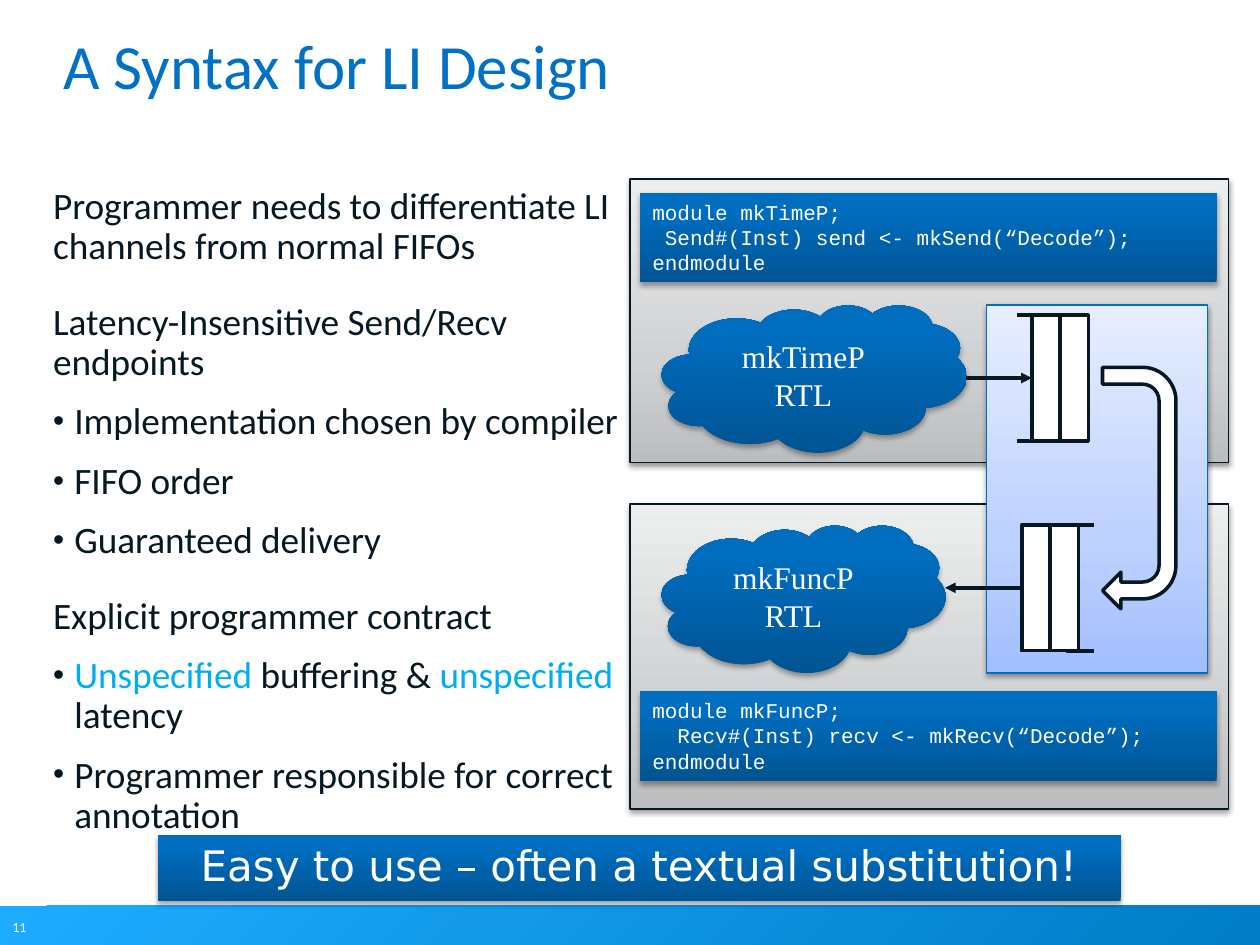
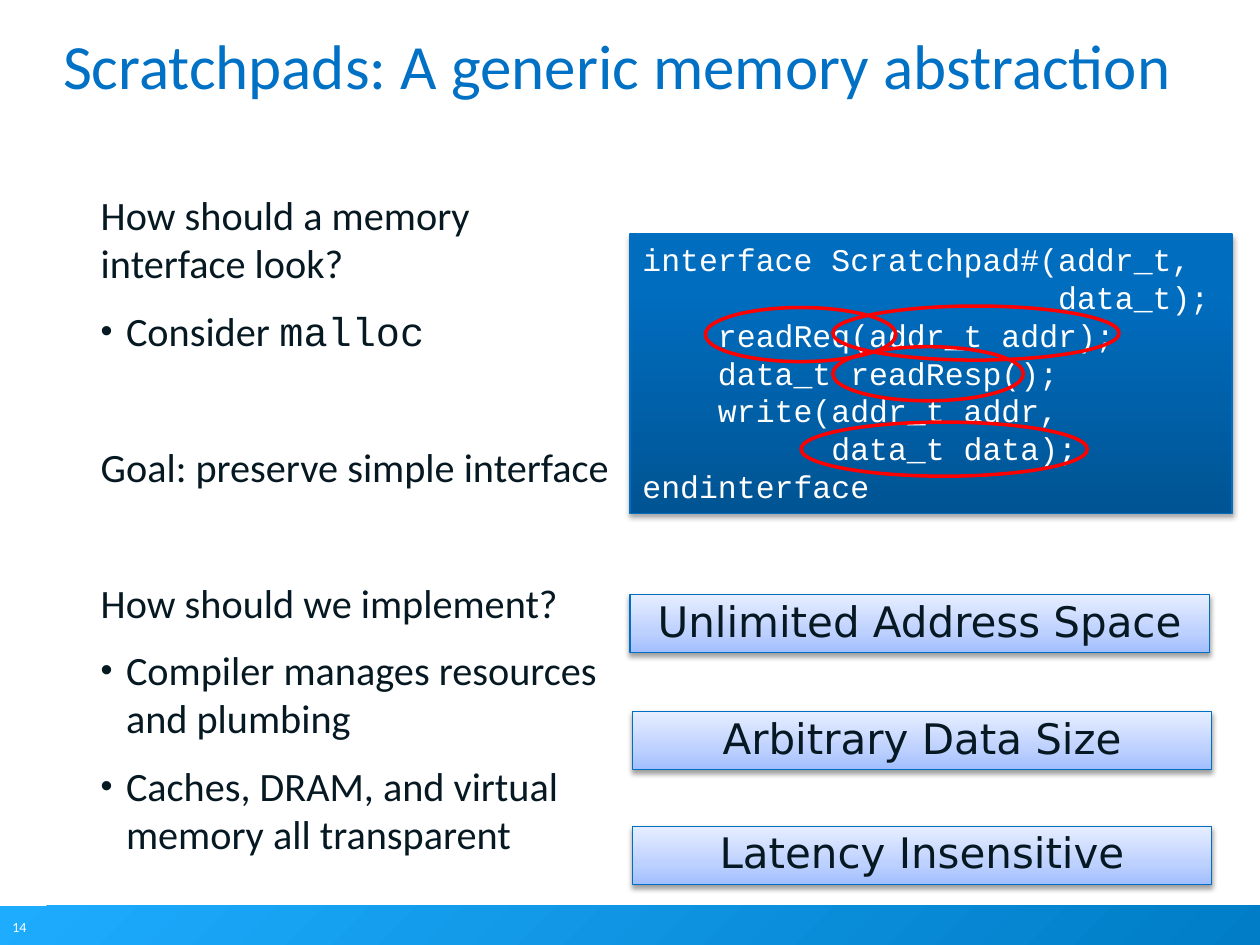
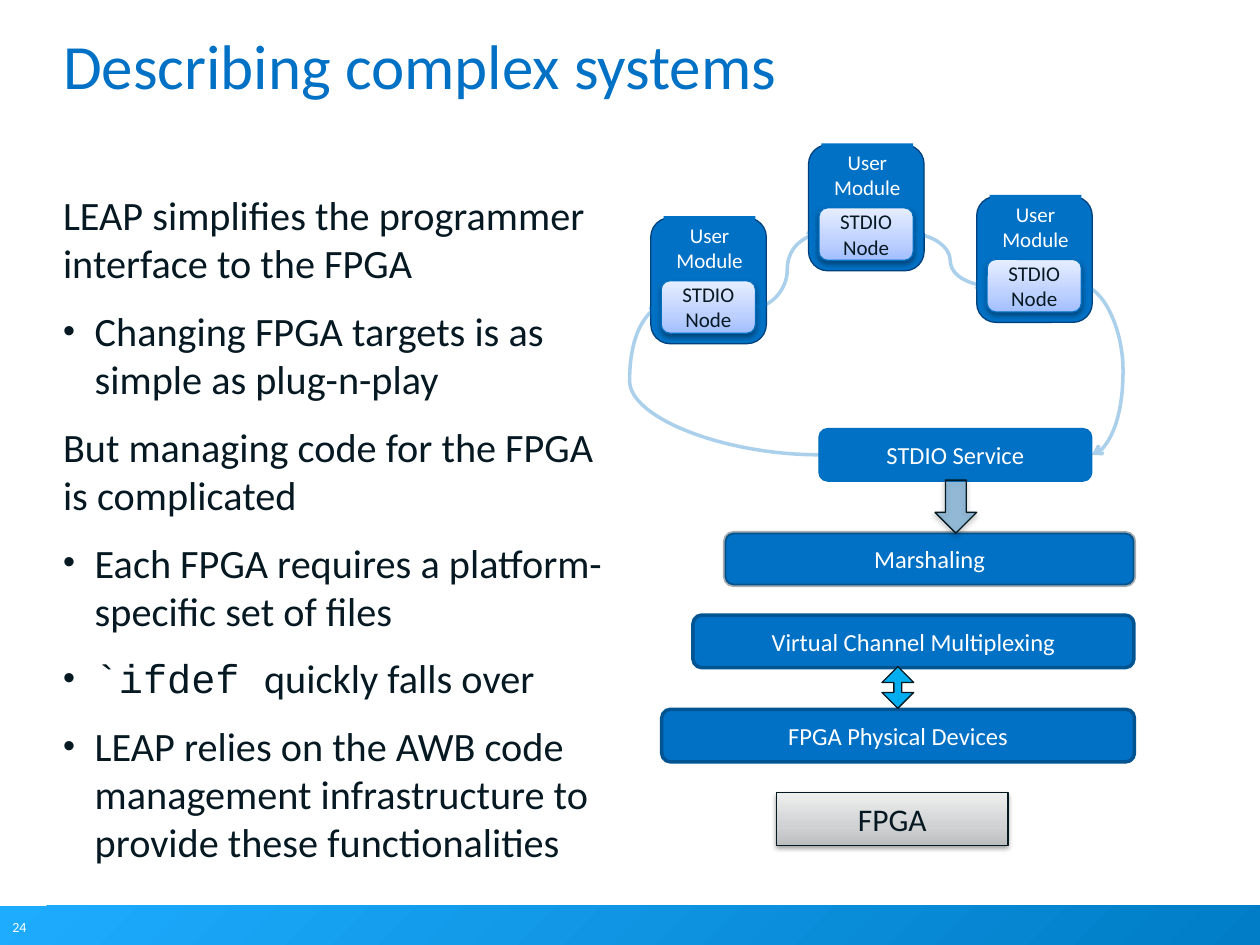
from lxml.etree import SubElement
from pptx import Presentation
from pptx.dml.color import RGBColor
from pptx.enum.shapes import MSO_CONNECTOR as Link, MSO_SHAPE as Preset
from pptx.enum.text import MSO_ANCHOR as Anchor, MSO_AUTO_SIZE as AutoSize, PP_ALIGN as Align
from pptx.oxml.ns import qn
from pptx.util import Cm, Pt

INK, PANEL_EDGE, WHITE, RED = "061922", "051922", "FFFFFF", "FF0000"
BLUE, EDGE_BLUE, DEEP_BLUE, MODULE_EDGE, CYAN = "0071C5", "006FC1", "005492", "00417D", "00AEEF"
SANS, MONO, SERIF, DISPLAY = "Calibri", "Courier New", "Times New Roman", "DejaVu Sans"
GRADIENTS = {
    "band": ((0, "1EACFF"), (100, "007DC6")),
    "grey": ((0, "BCBDBE"), (35, "D0D1D2"), (100, "EDEEEE")),
    "deep": ((0, "005493"), (80, "006DBF"), (100, "006EC0")),
    "pale": ((0, "A2BEFF"), (35, "BDD1FF"), (100, "E6EDFF")),
}
SHADOWS = {"grey": (38, 1.6), "deep": (35, 1.8), "pale": (38, 1.6)}
LEFT, RIGHT = 1, 3


def rgb(value):
    return RGBColor.from_string(value)


def fade(part, percent):
    SubElement(next(part.iter(qn("a:srgbClr"))), qn("a:alpha"), val=str(percent * 1000))


def paint_gradient(shape, name, angle):
    shape.fill.gradient()
    shape.fill.gradient_angle = angle
    stops = next(shape._element.spPr.iter(qn("a:gsLst")))
    stops.clear()
    for position, color in GRADIENTS[name]:
        stop = SubElement(stops, qn("a:gs"), pos=str(position * 1000))
        SubElement(stop, qn("a:srgbClr"), val=color)


def cast_shadow(shape, percent, distance):
    effects = shape._element.spPr.find(qn("a:effectLst"))
    shadow = SubElement(effects, qn("a:outerShdw"), blurRad=str(Pt(3.1)), dist=str(Pt(distance)),
                        dir="5400000", rotWithShape="0")
    SubElement(shadow, qn("a:srgbClr"), val="000000")
    fade(shadow, percent)


def format_run(run, size, font, color):
    run.font.size = Pt(size)
    run.font.name = font
    run.font.color.rgb = rgb(color)


def write(shape, text, size, font=SANS, color=WHITE, align=Align.CENTER, anchor=Anchor.MIDDLE,
          wrap=True, spacing=None):
    frame = shape.text_frame
    frame.text = text
    frame.word_wrap = wrap
    frame.vertical_anchor = anchor
    for paragraph in frame.paragraphs:
        paragraph.alignment = align
        if spacing:
            paragraph.line_spacing = spacing
        for run in paragraph.runs:
            format_run(run, size, font, color)


def add_block(slide, preset, box, fill=None, edge=None, weight=0.75, angle=90):
    block = slide.shapes.add_shape(preset, *map(Cm, box))
    if fill in GRADIENTS:
        paint_gradient(block, fill, angle)
    elif fill:
        block.fill.solid()
        block.fill.fore_color.rgb = rgb(fill)
    else:
        block.fill.background()
    if edge:
        block.line.color.rgb = rgb(edge)
        block.line.width = Pt(weight)
    else:
        block.line.fill.background()
    block.shadow.inherit = False
    if fill in SHADOWS:
        cast_shadow(block, *SHADOWS[fill])
    return block


def add_link(slide, kind, start, end, color, head=None):
    link = slide.shapes.add_connector(kind, *map(Cm, start + end))
    link.line.color.rgb = rgb(color)
    link.line.width = Pt(2)
    properties = link._element.spPr
    if head:
        SubElement(properties.find(qn("a:ln")), qn("a:tailEnd"), type=head)
    SubElement(properties, qn("a:effectLst"))
    return link


def add_curve(slide, source, source_side, target, target_side, bend):
    curve = add_link(slide, Link.CURVE, (0, 0), (1, 1), BLUE, "arrow")
    curve.begin_connect(source, source_side)
    curve.end_connect(target, target_side)
    properties = curve._element.spPr
    fade(properties.find(qn("a:ln")), 33)
    guides = next(properties.iter(qn("a:avLst")))
    SubElement(guides, qn("a:gd"), name="adj1", fmla=f"val {round(bend * 100000)}")


def add_code(slide, box, text, size, edge=None):
    code = add_block(slide, Preset.RECTANGLE, box, "deep", edge)
    write(code, text, size, MONO, align=Align.LEFT, anchor=Anchor.TOP)


def place(placeholder, box):
    placeholder.left, placeholder.top, placeholder.width, placeholder.height = map(Cm, box)
    frame = placeholder.text_frame
    frame.margin_left = frame.margin_top = frame.margin_right = frame.margin_bottom = 0
    frame.auto_size = AutoSize.NONE


def add_page(deck, title, number):
    slide = deck.slides.add_slide(deck.slide_layouts[1])
    place(slide.shapes.title, (1.27, 1.14, 22.86, 2.46))
    write(slide.shapes.title, title, 36, color=BLUE, align=Align.LEFT, anchor=Anchor.TOP, spacing=Pt(26))
    add_block(slide, Preset.RECTANGLE, (0, 18.26, 25.4, 0.79), "band", angle=315)
    page_number = slide.shapes.add_textbox(*map(Cm, (0, 18.39, 0.79, 0.61)))
    write(page_number, number, 8, align=Align.LEFT, anchor=Anchor.TOP, wrap=False)
    return slide


def set_marker(paragraph, bulleted, margin, hang):
    properties = paragraph._p.get_or_add_pPr()
    properties.set("marL", str(Cm(margin)))
    properties.set("indent", str(-Cm(hang)))
    if bulleted:
        SubElement(SubElement(properties, qn("a:buClr")), qn("a:srgbClr"), val=INK)
        SubElement(properties, qn("a:buSzPct"), val="85000")
        SubElement(properties, qn("a:buFont"), typeface="Arial")
        SubElement(properties, qn("a:buChar"), char="•")
    else:
        SubElement(properties, qn("a:buNone"))


def heading(text, gap=11):
    return False, gap, [(text,)]


def bullet(*runs):
    return True, 11, [run if isinstance(run, tuple) else (run,) for run in runs]


def add_list(slide, box, size, entries, heading_margin, bullet_margin, hang, spacing=1.0):
    body = slide.placeholders[1]
    place(body, box)
    frame = body.text_frame
    for index, (bulleted, gap, runs) in enumerate(entries):
        paragraph = frame.add_paragraph() if index else frame.paragraphs[0]
        paragraph.level = int(bulleted)
        set_marker(paragraph, bulleted, bullet_margin if bulleted else heading_margin,
                   hang if bulleted else 0)
        paragraph.space_before = Pt(gap if index else 0)
        paragraph.line_spacing = spacing
        for text, *look in runs:
            run = paragraph.add_run()
            run.text = text
            font, color = look or (SANS, INK)
            format_run(run, size, font, color)


def add_fifo(slide, left, top, rail_left):
    depth, cell_width = 2.54, 0.57
    cells = [add_block(slide, Preset.RECTANGLE, (left + i * cell_width, top, cell_width, depth),
                       WHITE, INK, 2) for i in range(2)]
    for rail in (top, top + depth):
        add_link(slide, Link.STRAIGHT, (rail_left, rail), (rail_left + 0.56, rail), INK)
    return cells[0]


def add_rtl(slide, box, name):
    cloud = add_block(slide, Preset.CLOUD, box, "deep")
    write(cloud, f"{name}\nRTL", 18, SERIF)


def add_layer(slide, box, name, edge, weight=2):
    layer = add_block(slide, Preset.ROUNDED_RECTANGLE, box, BLUE, edge, weight)
    write(layer, name, 14, wrap=False)
    return layer


def add_user_module(slide, left, top):
    add_block(slide, Preset.ROUNDED_RECTANGLE, (left, top, 2.33, 2.54), BLUE, MODULE_EDGE)
    node = add_block(slide, Preset.ROUNDED_RECTANGLE, (left + 0.21, top + 1.27, 1.9, 1.06),
                     "pale", EDGE_BLUE)
    write(node, "STDIO\nNode", 12, color=INK, wrap=False)
    caption = add_block(slide, Preset.RECTANGLE, (left + 0.26, top - 0.03, 1.85, 1.28), BLUE)
    write(caption, "User\nModule", 12, anchor=Anchor.TOP, wrap=False)
    return node


def build_syntax(deck):
    slide = add_page(deck, "A Syntax for LI Design", "11")
    add_list(slide, (1.07, 3.78, 11.63, 13.79), 21.3, [
        heading("Programmer needs to differentiate LI channels from normal FIFOs"),
        heading("Latency-Insensitive Send/Recv endpoints", 20),
        bullet("Implementation chosen by compiler"),
        bullet("FIFO order"),
        bullet("Guaranteed delivery"),
        heading("Explicit programmer contract", 20),
        bullet(("Unspecified", SANS, CYAN), " buffering & ", ("unspecified ", SANS, CYAN), "latency"),
        bullet("Programmer responsible for correct annotation"),
    ], 0, 0.43, 0.43, 0.9)
    for top, height in ((10.16, 6.15), (3.61, 5.72)):
        add_block(slide, Preset.RECTANGLE, (12.7, top, 12.07, height), "grey", PANEL_EDGE)
    for top, text in (
        (3.89, "module mkTimeP;\n Send#(Inst) send <- mkSend(“Decode”);\nendmodule"),
        (13.94, "module mkFuncP;\n  Recv#(Inst) recv <- mkRecv(“Decode”);\nendmodule"),
    ):
        add_code(slide, (12.9, top, 11.63, 1.8), text, 12)
    add_rtl(slide, (13.34, 10.59, 5.72, 2.97), "mkFuncP")
    add_rtl(slide, (13.34, 6.15, 6.15, 2.97), "mkTimeP")
    add_block(slide, Preset.RECTANGLE, (19.89, 6.15, 4.45, 7.42), "pale", EDGE_BLUE)
    receive_cell = add_fifo(slide, 20.6, 10.58, 21.49)
    send_cell = add_fifo(slide, 20.8, 6.35, 20.5)
    receive = add_link(slide, Link.STRAIGHT, (20.6, 11.85), (19.05, 11.85), INK, "triangle")
    receive.begin_connect(receive_cell, LEFT)
    send = add_link(slide, Link.STRAIGHT, (19.48, 7.62), (20.8, 7.62), INK, "triangle")
    send.end_connect(send_cell, LEFT)
    transfer = add_block(slide, Preset.U_TURN_ARROW, (20.53, 9.1, 4.87, 1.48), WHITE, INK, 2)
    transfer.rotation = 90
    for index, value in enumerate((0.23, 0.25, 0.25, 0.456, 1)):
        transfer.adjustments[index] = value
    takeaway = add_block(slide, Preset.RECTANGLE, (3.18, 16.84, 19.41, 1.32), "deep")
    write(takeaway, "Easy to use – often a textual substitution!", 24, DISPLAY, spacing=0.9)


def build_scratchpads(deck):
    slide = add_page(deck, "Scratchpads: A generic memory abstraction", "14")
    add_list(slide, (1.27, 3.84, 11.2, 13.51), 23, [
        heading("How should a memory interface look?"),
        bullet("Consider ", ("malloc", MONO, INK)),
        heading("Goal: preserve simple interface", 50),
        heading("How should we implement?", 50),
        bullet("Compiler manages resources and plumbing"),
        bullet("Caches, DRAM, and virtual memory all transparent"),
    ], 0.76, 1.27, 0.51)
    add_code(slide, (12.7, 4.72, 12.14, 5.64), "\n".join((
        "interface Scratchpad#(addr_t,",
        "                      data_t);",
        "    readReq(addr_t addr);",
        "    data_t readResp();",
        "    write(addr_t addr,",
        "          data_t data);",
        "endinterface",
    )), 18, EDGE_BLUE)
    for left, top, feature in (
        (12.7, 11.99, "Unlimited Address Space"),
        (12.75, 14.35, "Arbitrary Data Size"),
        (12.75, 16.66, "Latency Insensitive"),
    ):
        label = add_block(slide, Preset.RECTANGLE, (left, top, 11.68, 1.17), "pale", EDGE_BLUE)
        write(label, feature, 24, DISPLAY, INK, anchor=Anchor.TOP, spacing=0.9)
    for left, top, width in ((16.79, 6.17, 5.77), (16.15, 8.51, 5.77),
                             (14.22, 6.2, 3.84), (16.79, 6.99, 3.84)):
        add_block(slide, Preset.OVAL, (left, top, width, 1.09), edge=RED, weight=2)


def build_systems(deck):
    slide = add_page(deck, "Describing complex systems", "24")
    add_list(slide, (1.27, 3.84, 11.2, 14.38), 23, [
        heading("LEAP simplifies the programmer interface to the FPGA"),
        bullet("Changing FPGA targets is as simple as plug-n-play"),
        heading("But managing code for the FPGA is complicated"),
        bullet("Each FPGA requires a platform-specific set of files"),
        bullet(("`ifdef ", MONO, INK), "quickly falls over"),
        bullet("LEAP relies on the AWB code management infrastructure to provide these functionalities"),
    ], 0, 0.64, 0.64)
    add_layer(slide, (13.34, 14.3, 9.53, 1.06), "FPGA Physical Devices", DEEP_BLUE)
    add_layer(slide, (13.97, 12.4, 8.89, 1.06), "Virtual Channel Multiplexing", DEEP_BLUE)
    exchange = add_block(slide, Preset.UP_DOWN_ARROW, (17.78, 13.44, 0.64, 0.84), CYAN, INK)
    exchange.adjustments[1] = 0.25
    chip = add_block(slide, Preset.RECTANGLE, (15.66, 15.98, 4.66, 1.06), "grey", PANEL_EDGE)
    write(chip, "FPGA", 18, color=INK)
    marshaling = add_layer(slide, (14.61, 10.74, 8.26, 1.06), "Marshaling", INK)
    fade(marshaling._element.spPr.find(qn("a:ln")), 34)
    service = add_layer(slide, (16.51, 8.64, 5.5, 1.06), "STDIO Service", EDGE_BLUE, 0.75)
    first, second, third = [add_user_module(slide, left, top)
                            for left, top in ((13.12, 4.39), (16.3, 2.92), (19.69, 3.96))]
    add_curve(slide, first, RIGHT, second, LEFT, 0.5)
    add_curve(slide, second, RIGHT, third, LEFT, 0.5)
    add_curve(slide, third, RIGHT, service, RIGHT, 4)
    add_curve(slide, service, LEFT, first, LEFT, 1.2)
    handoff = add_block(slide, Preset.DOWN_ARROW, (18.85, 9.68, 0.84, 1.07), BLUE, PANEL_EDGE)
    fade(handoff._element.spPr.find(qn("a:solidFill")), 34)
    cast_shadow(handoff, 38, 1.6)


def main():
    deck = Presentation()
    deck.slide_width, deck.slide_height = Cm(25.4), Cm(19.05)
    build_syntax(deck)
    build_scratchpads(deck)
    build_systems(deck)
    deck.save("out.pptx")


if __name__ == "__main__":
    main()
